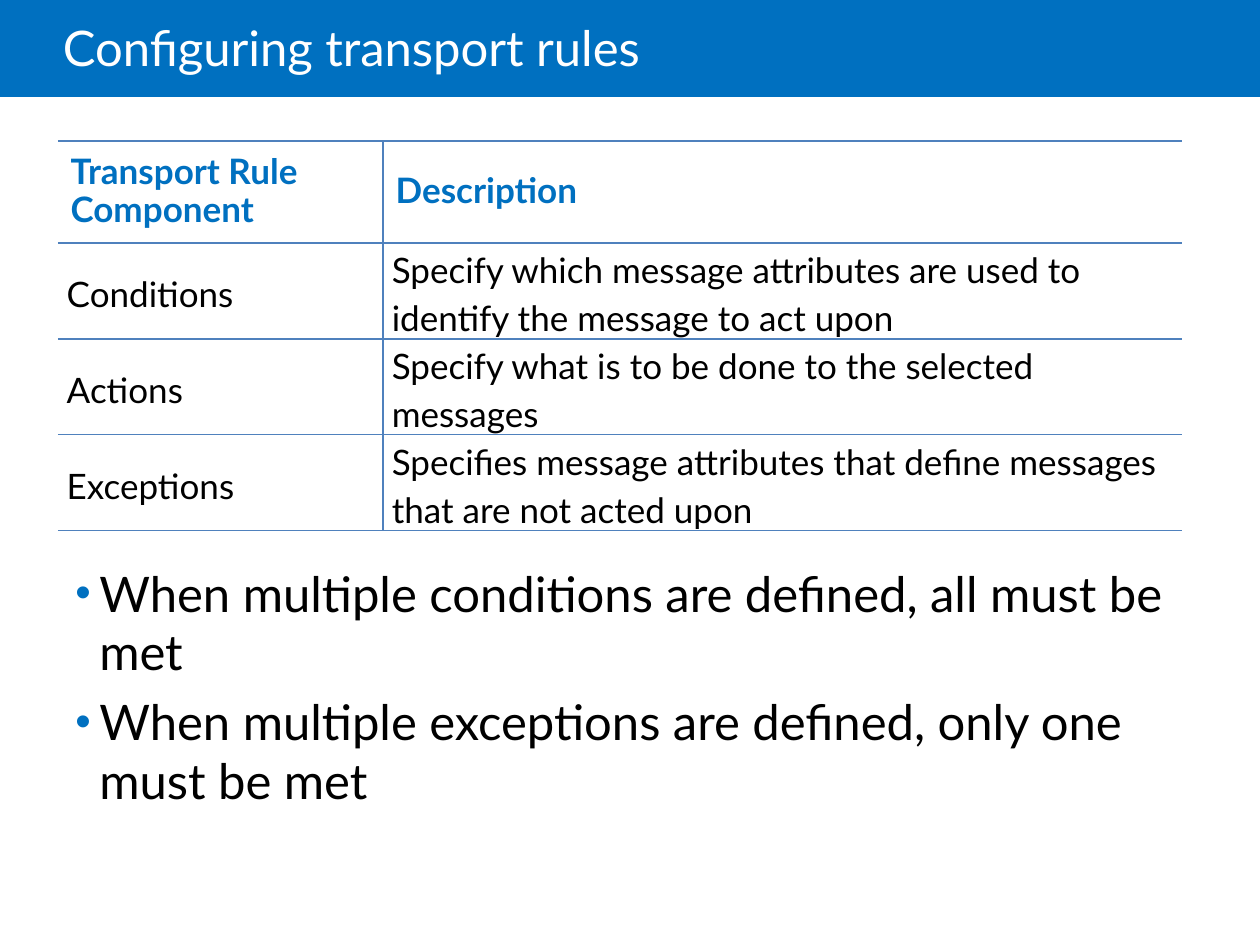
from lxml.etree import SubElement
from pptx import Presentation
from pptx.dml.color import RGBColor
from pptx.enum.shapes import MSO_SHAPE
from pptx.enum.text import MSO_ANCHOR
from pptx.oxml.ns import qn
from pptx.util import Inches, Pt

BLUE = RGBColor(0x00, 0x70, 0xC0)
RULE = RGBColor(0x4F, 0x81, 0xBD)
WHITE = RGBColor(0xFF, 0xFF, 0xFF)
BLACK = RGBColor(0x00, 0x00, 0x00)
FONT = "Lato"

COLUMNS = [2.58, 6.34]
HEADER_HEIGHT, ROW_HEIGHT = 0.81, 0.76
ROWS = [
    ("Transport Rule Component", "Description"),
    ("Conditions", "Specify which message attributes are used to identify the message to act upon"),
    ("Actions", "Specify what is to be done to the selected messages"),
    ("Exceptions", "Specifies message attributes that define messages that are not acted upon"),
]
HEADER = {"color": BLUE, "bold": True, "spacing": 0.9, "margins": (0.1, 0.1)}
BODY = {"color": BLACK, "bold": False, "spacing": 1.14, "margins": (0.07, 0)}
BULLETS = [
    "When multiple conditions are defined, all must be met",
    "When multiple exceptions are defined, only one must be met",
]


def set_attributes(target, values):
    for name, value in values.items():
        setattr(target, name, value)


def write(p, text, size, color, bold=False):
    r = p.add_run()
    r.text = text
    set_attributes(r.font, {"name": FONT, "size": Pt(size), "bold": bold})
    r.font.color.rgb = color


def add_text_box(s, left, top, width, height, **frame):
    box = s.shapes.add_textbox(*map(Inches, (left, top, width, height)))
    set_attributes(box.text_frame, {"word_wrap": True, **frame})
    return box.text_frame


def add_title(s, text, slide_width):
    band = s.shapes.add_shape(MSO_SHAPE.RECTANGLE, 0, 0, slide_width, Inches(0.77))
    band.shadow.inherit = False
    band.fill.solid()
    band.fill.fore_color.rgb = BLUE
    band.line.fill.background()
    tf = add_text_box(s, 0.5, 0, 8.5, 0.81, margin_left=0,
                      vertical_anchor=MSO_ANCHOR.MIDDLE)
    p = tf.paragraphs[0]
    p.line_spacing = 0.85
    write(p, text, 28, WHITE)


def set_borders(cell, visible):
    """Rule the sides named in visible and clear the others."""
    tc_pr = cell._tc.get_or_add_tcPr()
    for side in "LRTB":
        ln = SubElement(tc_pr, qn(f"a:ln{side}"), w=str(Pt(1)))
        if side in visible:
            fill = SubElement(ln, qn("a:solidFill"))
            SubElement(fill, qn("a:srgbClr"), val=str(RULE))
        else:
            SubElement(ln, qn("a:noFill"))


def fill_cell(cell, text, style, borders):
    side, end = map(Inches, style["margins"])
    set_attributes(cell, {
        "vertical_anchor": MSO_ANCHOR.MIDDLE,
        "margin_left": side, "margin_right": side,
        "margin_top": end, "margin_bottom": end,
    })
    set_borders(cell, borders)
    cell.fill.background()
    p = cell.text_frame.paragraphs[0]
    p.line_spacing = style["spacing"]
    write(p, text, 20, style["color"], style["bold"])


def add_rule_table(s):
    heights = [HEADER_HEIGHT] + [ROW_HEIGHT] * (len(ROWS) - 1)
    size = (0.46, 1.12, sum(COLUMNS), sum(heights))
    table = s.shapes.add_table(len(ROWS), len(COLUMNS), *map(Inches, size)).table
    set_attributes(table, {"first_row": False, "horz_banding": False})
    for column, width in zip(table.columns, COLUMNS):
        column.width = Inches(width)
    for i, (height, texts) in enumerate(zip(heights, ROWS)):
        table.rows[i].height = Inches(height)
        style = BODY if i else HEADER
        for j, text in enumerate(texts):
            fill_cell(table.cell(i, j), text, style, "LTB" if j else "RTB")


def add_bullets(s, items):
    tf = add_text_box(s, 0.5, 4.42, 8.88, 2.33)
    for i, item in enumerate(items):
        p = tf.add_paragraph() if i else tf.paragraphs[0]
        p.space_after = Pt(6)
        p_pr = p._p.get_or_add_pPr()
        indent = Inches(0.19)
        p_pr.set("marL", str(indent))
        p_pr.set("indent", str(-indent))
        color = SubElement(p_pr, qn("a:buClr"))
        SubElement(color, qn("a:srgbClr"), val=str(BLUE))
        SubElement(p_pr, qn("a:buSzPct"), val="90000")
        SubElement(p_pr, qn("a:buFont"), typeface="Arial")
        SubElement(p_pr, qn("a:buChar"), char="•")
        write(p, item, 28, BLACK)


def main():
    prs = Presentation()
    prs.slide_width, prs.slide_height = Inches(10), Inches(7.5)
    s = prs.slides.add_slide(prs.slide_layouts[6])
    add_title(s, "Configuring transport rules", prs.slide_width)
    add_bullets(s, BULLETS)
    add_rule_table(s)
    prs.save("out.pptx")


if __name__ == "__main__":
    main()
